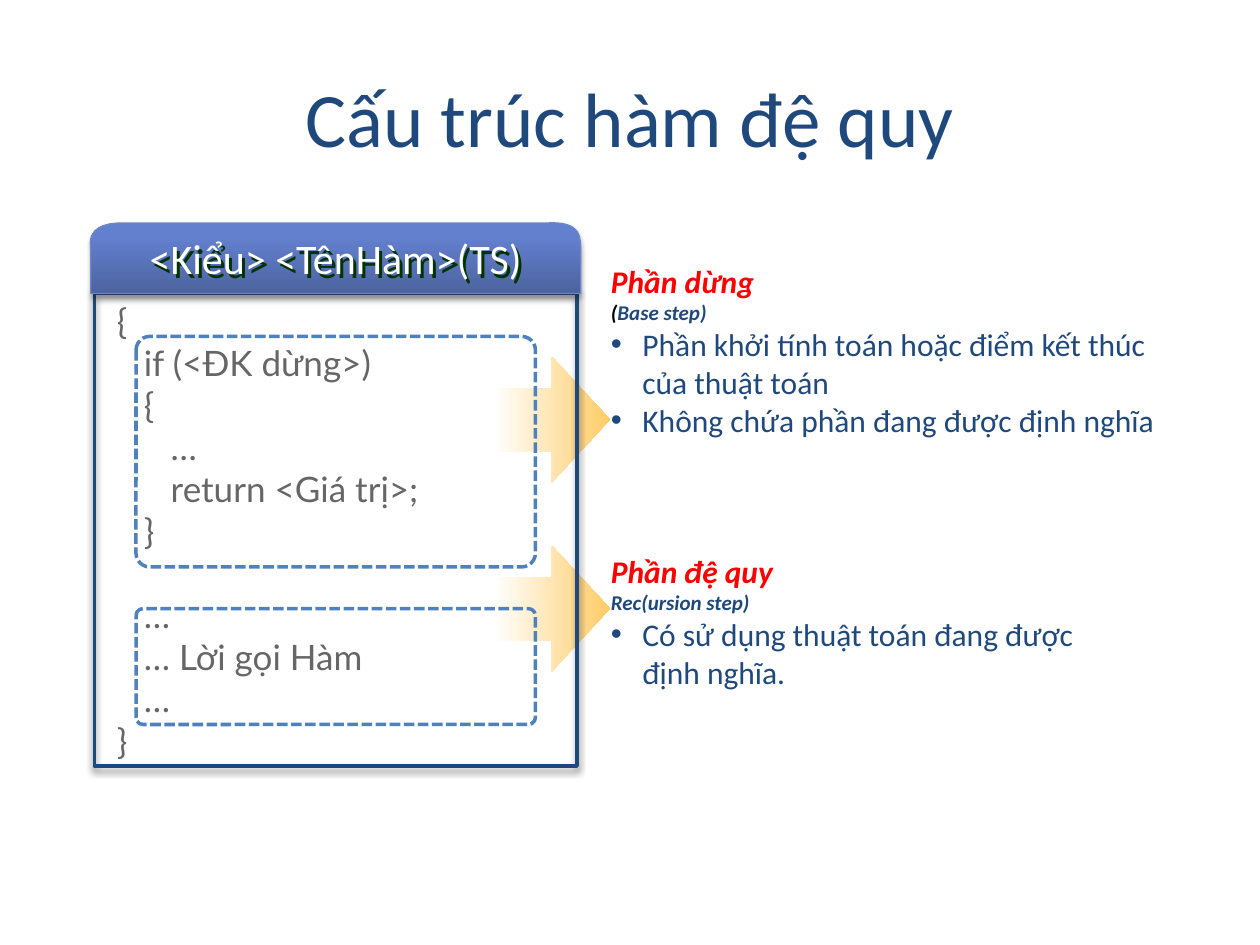
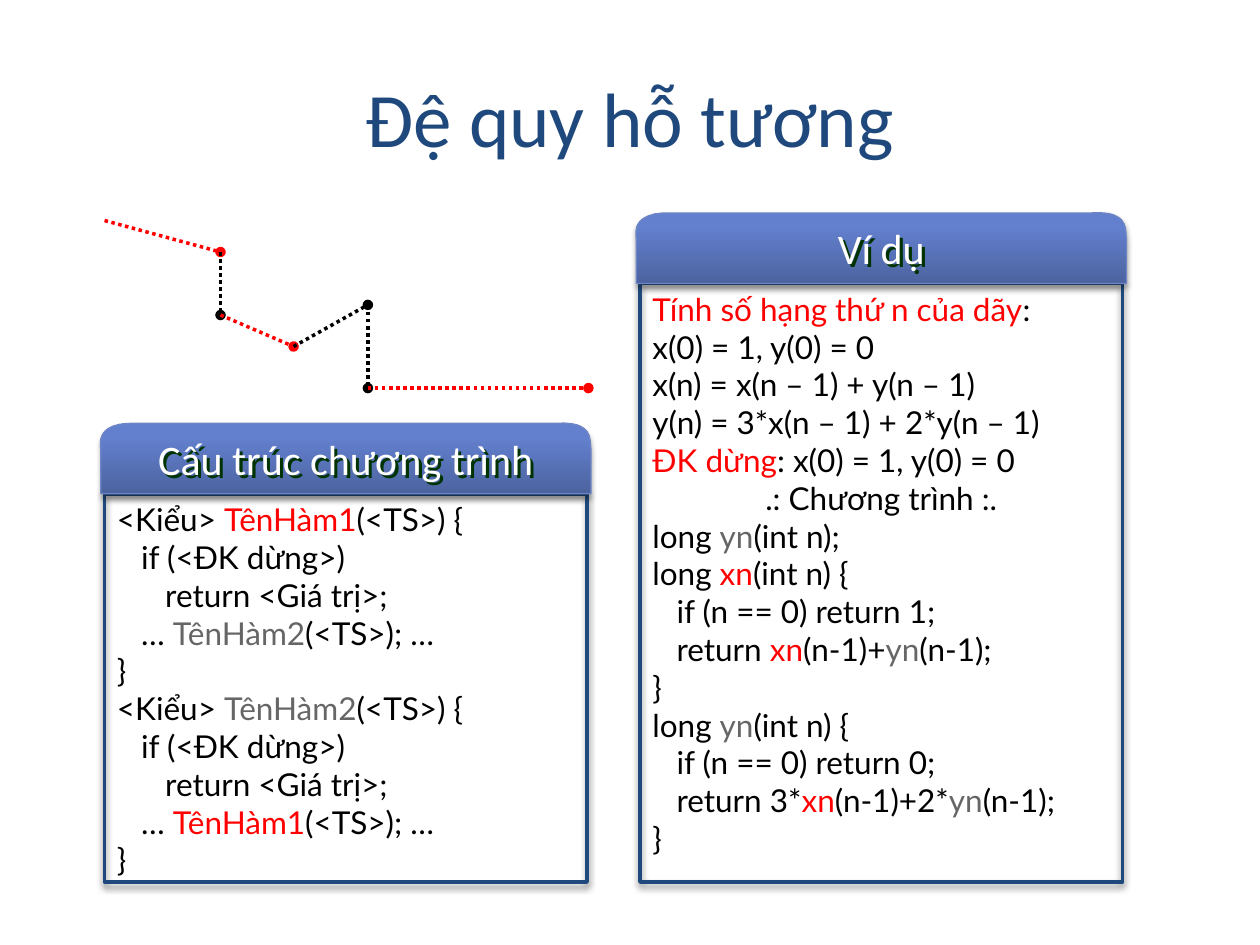
from itertools import pairwise

from pptx import Presentation
from pptx.dml.color import RGBColor
from pptx.enum import dml, shapes as kinds, text
from pptx.oxml import parse_xml
from pptx.oxml.ns import nsdecls, qn
from pptx.util import Inches, Pt

NAVY = RGBColor(0x1F, 0x49, 0x7D)
BLUE = RGBColor(0x4F, 0x81, 0xBD)
TAB_DARK = RGBColor(0x4C, 0x63, 0x9F)
TAB_LIGHT = RGBColor(0x63, 0x80, 0xCE)
TAB_EDGE = RGBColor(0x6E, 0x86, 0xC6)
ORANGE = RGBColor(0xFF, 0xCC, 0x66)
RED = RGBColor(0xFF, 0x00, 0x00)
GREY = RGBColor(0x66, 0x66, 0x66)
BLACK = RGBColor(0x00, 0x00, 0x00)
WHITE = RGBColor(0xFF, 0xFF, 0xFF)
GREEN = RGBColor(0x00, 0x33, 0x00)

HEADING_FONT, CODE_FONT = "Calibri", "Lato"
PANEL_WIDTH = 3.83
GREY_NAMES = ("TênHàm2", "yn")

RECURSION_CODE = [
    "{", "   if (<ĐK dừng>)", "   {", "      …", "      return <Giá trị>;", "   }",
    "   … ", "   … Lời gọi Hàm", "   …", "}",
]
RECURSIVE_PART = 6  # line of RECURSION_CODE that opens the recursive part

# Names between bars are coloured.
MUTUAL_CODE = [
    "<Kiểu> |TênHàm1|(<TS>) {", "   if (<ĐK dừng>)", "      return <Giá trị>;",
    "   … |TênHàm2|(<TS>); …", "}",
    "<Kiểu> |TênHàm2|(<TS>) {", "   if (<ĐK dừng>)", "      return <Giá trị>;",
    "   … |TênHàm1|(<TS>); …", "}",
]
EXAMPLE_TITLE = ".: Chương trình :."
EXAMPLE_CODE = [
    "|Tính số hạng thứ n của dãy|:", "x(0) = 1, y(0) = 0",
    "x(n) = x(n – 1) + y(n – 1)", "y(n) = 3*x(n – 1) + 2*y(n – 1)",
    "|ĐK dừng|: x(0) = 1, y(0) = 0", EXAMPLE_TITLE,
    "long |yn|(int n);", "long |xn|(int n) {", "   if (n == 0) return 1;",
    "   return |xn|(n-1)+|yn|(n-1);", "}",
    "long |yn|(int n) {", "   if (n == 0) return 0;",
    "   return 3*|xn|(n-1)+2*|yn|(n-1);", "}",
]
CALL_POINTS = [(0.83, 1.75), (1.75, 2), (1.75, 2.5), (2.33, 2.75),
               (2.92, 2.42), (2.92, 3.08), (4.67, 3.08)]
CALL_COLOURS = [RED, BLACK, RED, BLACK, BLACK, RED]


def add_titled_slide(deck, title):
    slide = deck.slides.add_slide(deck.slide_layouts[5])
    heading = slide.shapes.title
    heading.left, heading.top = Inches(0.5), Inches(0.3)
    heading.width, heading.height = Inches(9), Inches(1.25)
    heading.text_frame.text = title
    set_font(heading.text_frame.paragraphs[0], HEADING_FONT, 44, NAVY)
    return slide


def set_font(paragraph, name, size, colour=None):
    font = paragraph.font
    font.name, font.size = name, Pt(size)
    if colour is not None:
        font.color.rgb = colour


def add_shadow(shape, colour, opacity, blur, distance, angle):
    shape.shadow.inherit = False
    shape._element.spPr.find(qn("a:effectLst")).append(parse_xml(
        f'<a:outerShdw {nsdecls("a")} blurRad="{Pt(blur)}" dist="{Pt(distance)}" '
        f'dir="{angle * 60000}" algn="ctr" rotWithShape="0"><a:srgbClr val="{colour}">'
        f'<a:alpha val="{opacity * 1000}"/></a:srgbClr></a:outerShdw>'))


def fill_gradient(shape, start, end, angle, end_position=1.0):
    shape.fill.gradient()
    shape.fill.gradient_angle = angle
    first, last = shape.fill.gradient_stops
    first.color.rgb, last.color.rgb = start, end
    last.position = end_position


def add_outline(shapes, kind, left, top, width, height, colour):
    outline = shapes.add_shape(kind, Inches(left), Inches(top), Inches(width), Inches(height))
    outline.fill.background()
    outline.line.color.rgb, outline.line.width = colour, Pt(2)
    outline.shadow.inherit = False
    return outline


def add_text_area(shapes, left, top, width, height):
    area = shapes.add_textbox(Inches(left), Inches(top), Inches(width), Inches(height))
    area.text_frame.word_wrap = True
    return area


def paragraphs_for(frame, lines):
    """Pair each line with its own paragraph of the frame."""
    for index, line in enumerate(lines):
        yield frame.add_paragraph() if index else frame.paragraphs[0], line


def curve(start, control_1, control_2, end, steps=12):
    """Points along a cubic curve, without its start."""
    for t in (step / steps for step in range(1, steps + 1)):
        weights = ((1 - t) ** 3, 3 * t * (1 - t) ** 2, 3 * t * t * (1 - t), t ** 3)
        yield tuple(sum(w * value for w, value in zip(weights, axis))
                    for axis in zip(start, control_1, control_2, end))


def add_tab(shapes, left, top, heading):
    """Rounded header standing on the panel's top edge."""
    start, right = (-0.03, -0.35), (3.86, -0.36)
    points = [(-0.03, 0), (3.86, 0), right,
              *curve(right, (3.85, -0.43), (3.88, -0.58), (3.58, -0.56)), (0.25, -0.56),
              *curve((0.25, -0.56), (-0.08, -0.57), (-0.03, -0.39), start)]
    placed = [(Inches(left + x), Inches(top + y)) for x, y in [start, *points]]
    builder = shapes.build_freeform(*placed[0])
    builder.add_line_segments(placed[1:], close=True)
    tab = builder.convert_to_shape()
    fill_gradient(tab, TAB_DARK, TAB_LIGHT, 90, 0.8)
    tab.line.color.rgb, tab.line.width = TAB_EDGE, Pt(0.75)
    add_shadow(tab, BLACK, 35, 3.1, 1.8, 90)

    label = add_text_area(shapes, left + 0.08, top - 0.53, 3.67, 0.5)
    paragraph = label.text_frame.paragraphs[0]
    paragraph.text = heading
    paragraph.alignment = text.PP_ALIGN.CENTER
    set_font(paragraph, HEADING_FONT, 24, WHITE)
    add_shadow(label, GREEN, 100, 0, 2.5, 45)


def add_panel(slide, left, top, height, heading, code, size, colour, inset=0.0):
    """Framed code under a header tab; gives the group's shapes and the paragraphs."""
    shapes = slide.shapes.add_group_shape().shapes
    frame = add_outline(shapes, kinds.MSO_SHAPE.RECTANGLE, left, top, PANEL_WIDTH, height, NAVY)
    add_shadow(frame, BLACK, 50, 4, 2, 90)
    listing = add_text_area(shapes, left + inset, top, PANEL_WIDTH - inset, height)
    for paragraph, line in paragraphs_for(listing.text_frame, code):
        for index, part in enumerate(line.split("|")):
            if part:
                run = paragraph.add_run()
                run.text = part
                if index % 2:
                    run.font.color.rgb = GREY if part in GREY_NAMES else RED
        set_font(paragraph, CODE_FONT, size, colour)
    add_tab(shapes, left, top, heading)
    return shapes, listing.text_frame.paragraphs


def add_step_arrow(slide, left, top):
    arrow = slide.shapes.add_shape(kinds.MSO_SHAPE.RIGHT_ARROW, Inches(left), Inches(top),
                                   Inches(0.92), Inches(1))
    fill_gradient(arrow, WHITE, ORANGE, 0)
    arrow.line.fill.background()
    arrow.shadow.inherit = False


def add_step_note(slide, left, top, width, height, name, english, points):
    """Red name, small English name as (text, colour) runs, then bullets."""
    frame = add_text_area(slide.shapes, left, top, width, height).text_frame
    lines = [[(name, RED)], english, *([(point, NAVY)] for point in points)]
    for index, (paragraph, runs) in enumerate(paragraphs_for(frame, lines)):
        is_point = index > 1
        if is_point:
            properties = paragraph._p.get_or_add_pPr()
            properties.set("marL", str(Inches(0.25)))
            properties.set("indent", str(-Inches(0.25)))
            properties.append(parse_xml(f'<a:buFont {nsdecls("a")} typeface="Arial"/>'))
            properties.append(parse_xml(f'<a:buChar {nsdecls("a")} char="•"/>'))
        for words, colour in runs:
            run = paragraph.add_run()
            run.text = words
            run.font.color.rgb = colour
        set_font(paragraph, HEADING_FONT, 12 if index == 1 else 18)
        paragraph.font.bold = paragraph.font.italic = not is_point


def add_call_chain(slide, points, colours):
    """Dotted segments, each ending in a dot."""
    for (start, end), colour in zip(pairwise(points), colours):
        call = slide.shapes.add_connector(kinds.MSO_CONNECTOR.STRAIGHT,
                                          *map(Inches, (*start, *end)))
        call.line.color.rgb, call.line.width = colour, Pt(2)
        call.line.dash_style = dml.MSO_LINE.ROUND_DOT
        properties = call._element.spPr
        properties.find(qn("a:ln")).append(
            parse_xml(f'<a:tailEnd {nsdecls("a")} type="oval"/>'))
        properties.append(parse_xml(f'<a:effectLst {nsdecls("a")}/>'))


def build_structure_slide(deck):
    slide = add_titled_slide(deck, "Cấu trúc hàm đệ quy")
    for top in (2.83, 4.33):
        add_step_arrow(slide, 3.92, top)
    left, top = 0.75, 2.33
    shapes, lines = add_panel(slide, left, top, 3.75, "<Kiểu> <TênHàm>(TS)",
                              RECURSION_CODE, 20, GREY, inset=0.08)
    lines[RECURSIVE_PART].space_before = Pt(24)
    for offset, height in ((0.34, 1.83), (2.5, 0.92)):
        part = add_outline(shapes, kinds.MSO_SHAPE.ROUNDED_RECTANGLE,
                           left + 0.33, top + offset, 3.17, height, BLUE)
        part.adjustments[0] = 0.06
        part.line.dash_style = dml.MSO_LINE.SQUARE_DOT
    add_step_note(slide, 4.75, 2.03, 4.55, 1.51, "Phần dừng",
                  [("(", BLACK), ("Base step)", NAVY)],
                  ["Phần khởi tính toán hoặc điểm kết thúc của thuật toán",
                   "Không chứa phần đang được định nghĩa"])
    add_step_note(slide, 4.75, 4.33, 4.17, 1.21, "Phần đệ quy",
                  [("Rec(ursion step)", NAVY)],
                  ["Có sử dụng thuật toán đang được định nghĩa."])


def build_mutual_slide(deck):
    slide = add_titled_slide(deck, "Đệ quy hỗ tương")
    add_panel(slide, 0.83, 3.92, 3.08, "Cấu trúc chương trình", MUTUAL_CODE, 18, BLACK)
    _, lines = add_panel(slide, 5.08, 2.25, 4.75, "Ví dụ", EXAMPLE_CODE, 18, BLACK)
    lines[EXAMPLE_CODE.index(EXAMPLE_TITLE)].alignment = text.PP_ALIGN.CENTER
    add_call_chain(slide, CALL_POINTS, CALL_COLOURS)


def main():
    deck = Presentation()
    deck.slide_width, deck.slide_height = Inches(10), Inches(7.5)
    build_structure_slide(deck)
    build_mutual_slide(deck)
    deck.save("out.pptx")


if __name__ == "__main__":
    main()
